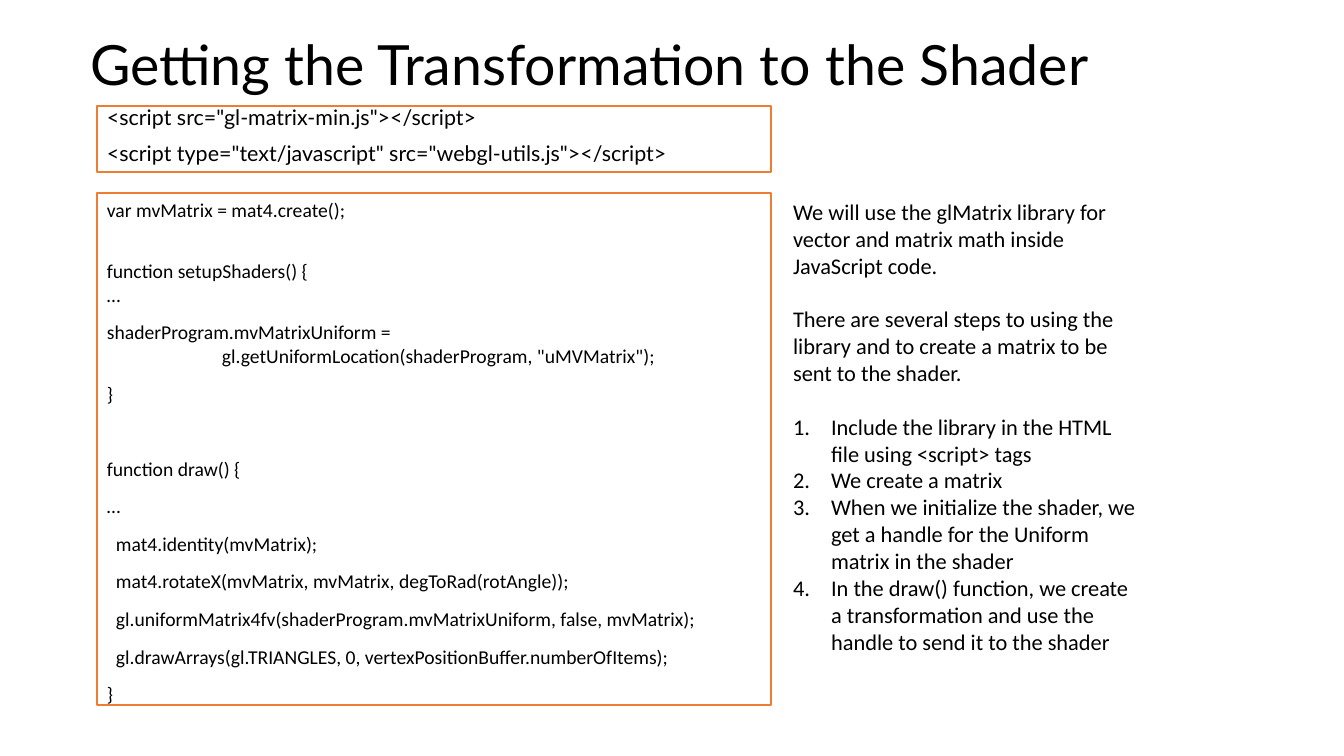
import pptx
import pptx.util
import pptx.dml.color
import pptx.enum.shapes
import pptx.enum.text
import lxml.etree

PIXEL = pptx.util.Inches(1) / 100.8
BLACK, WHITE, ORANGE = "000000", "FFFFFF", "ED7D31"


def color(hex_code):
    return pptx.dml.color.RGBColor.from_string(hex_code)


def write(para, text, font="Calibri", size=14, before=0, spacing=None,
          indent=0, hanging=0, numbered=False):
    span = para.add_run()
    span.text = text
    span.font.name = font
    span.font.size = pptx.util.Pt(size)
    span.font.color.rgb = color(BLACK)
    para.alignment = pptx.enum.text.PP_ALIGN.LEFT
    para.space_before = pptx.util.Pt(before)
    if spacing:
        para.line_spacing = spacing
    properties = para._p.get_or_add_pPr()
    properties.set("marL", str(round(indent * PIXEL)))
    properties.set("indent", str(round(-hanging * PIXEL)))
    if numbered:
        tag = pptx.oxml.ns.qn("a:buAutoNum")
        lxml.etree.SubElement(properties, tag, type="arabicPeriod")


deck = pptx.Presentation()
deck.slide_width = pptx.util.Inches(13.33)
deck.slide_height = pptx.util.Inches(7.5)
page = deck.slides.add_slide(deck.slide_layouts[5])

# Title
title = page.shapes.title
title.left, title.top, title.width, title.height = [
    round(length * PIXEL) for length in (80, 17, 1055, 101)]
title.text_frame.vertical_anchor = pptx.enum.text.MSO_ANCHOR.MIDDLE
write(title.text_frame.paragraphs[0], "Getting the Transformation to the Shader",
      font="Lato", size=39.6, spacing=0.9)

# Paragraphs of each box: text and what differs from the box's format
script_tags = [
    ('<script src="gl-matrix-min.js"></script>', {}),
    ('<script type="text/javascript" src="webgl-utils.js"></script>', {"before": 13}),
]
code_lines = [
    ("var mvMatrix = mat4.create();", {}),
    ("function setupShaders() {", {"before": 27}),
    ("…", {"before": 0}),
    ("shaderProgram.mvMatrixUniform =", {}),
    ('gl.getUniformLocation(shaderProgram, "uMVMatrix");', {"before": 0, "indent": 115}),
    ("}", {}),
    ("function draw() {", {"before": 37}),
    ("…", {}),
    ("mat4.identity(mvMatrix);", {"indent": 9}),
    ("mat4.rotateX(mvMatrix, mvMatrix, degToRad(rotAngle));", {"indent": 9}),
    ("gl.uniformMatrix4fv(shaderProgram.mvMatrixUniform, false, mvMatrix);", {"indent": 9}),
    ("gl.drawArrays(gl.TRIANGLES, 0, vertexPositionBuffer.numberOfItems);", {"indent": 9}),
    ("}", {}),
]
step = {"indent": 38, "hanging": 38, "numbered": True}
explanation = [
    ("We will use the glMatrix library for vector and matrix math inside JavaScript code.", {}),
    ("There are several steps to using the library and to create a matrix to be sent "
     "to the shader.", {"before": 19.2}),
    ("Include the library in the HTML file using <script> tags", {**step, "before": 19.2}),
    ("We create a matrix", step),
    ("When we initialize the shader, we get a handle for the Uniform matrix in the shader", step),
    ("In the draw() function, we create a transformation and use the handle to send it "
     "to the shader", step),
]

# Outlined code boxes and the plain explanation
boxes = [
    ((97, 106, 674, 66), True, script_tags, {"font": "Lato", "size": 15.3, "spacing": 0.7}),
    ((783, 193, 368, 472), False, explanation, {"size": 16}),
    ((97, 193, 674, 512), True, code_lines, {"before": 10}),
]
for place, outlined, lines, base in boxes:
    place = [round(length * PIXEL) for length in place]
    if outlined:
        box = page.shapes.add_shape(pptx.enum.shapes.MSO_SHAPE.RECTANGLE, *place)
        box.shadow.inherit = False
        box.fill.solid()
        box.fill.fore_color.rgb = color(WHITE)
        box.line.color.rgb = color(ORANGE)
        box.line.width = pptx.util.Pt(1)
    else:
        box = page.shapes.add_textbox(*place)
    frame = box.text_frame
    frame.word_wrap = True
    frame.vertical_anchor = pptx.enum.text.MSO_ANCHOR.TOP
    for number, (text, changes) in enumerate(lines):
        para = frame.add_paragraph() if number else frame.paragraphs[0]
        write(para, text, **{**base, **changes})

deck.save("out.pptx")
